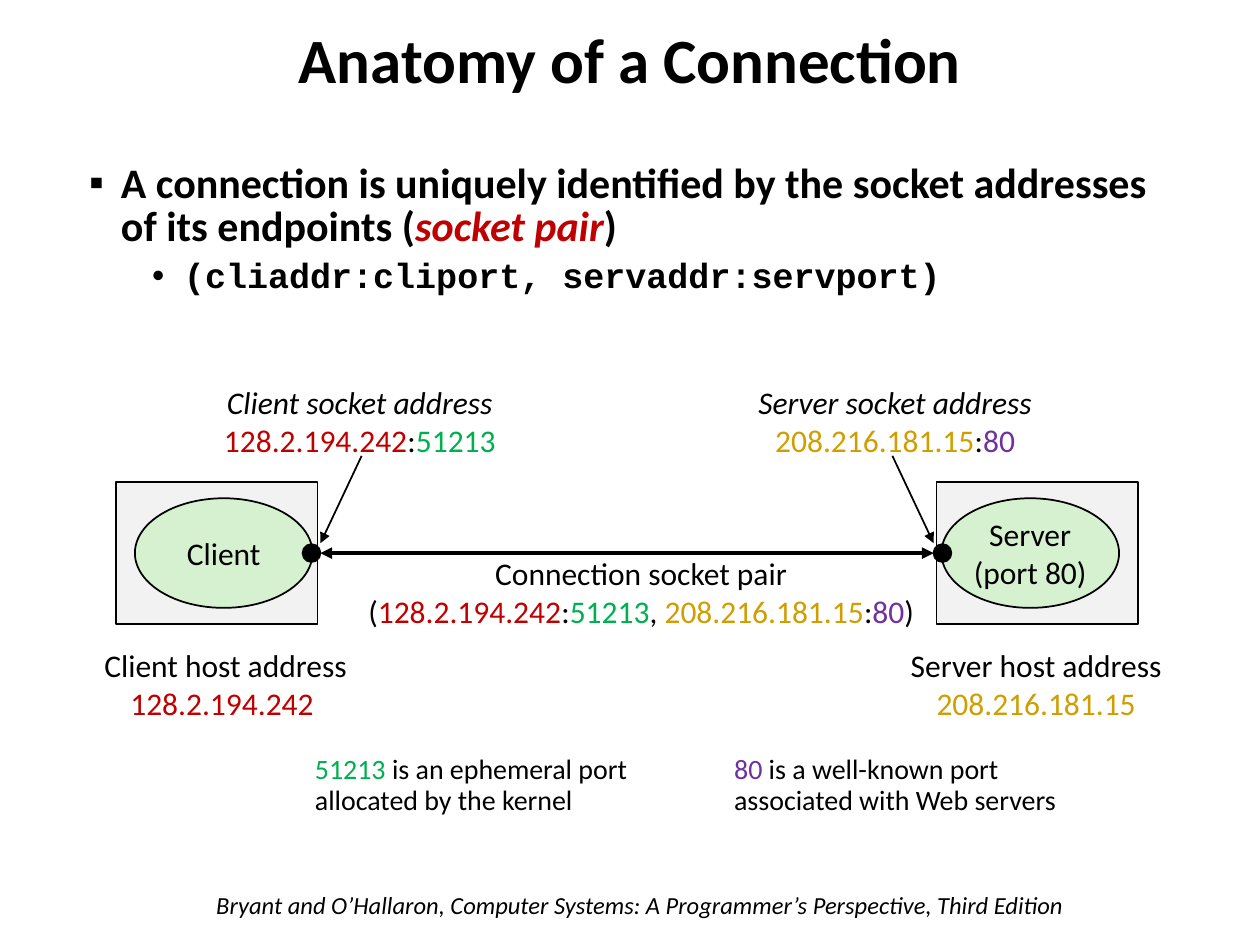
"""Build a slide on the anatomy of a socket connection."""
from lxml.etree import SubElement
from pptx import Presentation
from pptx.dml.color import RGBColor
from pptx.enum.shapes import MSO_CONNECTOR, MSO_SHAPE
from pptx.enum.text import MSO_ANCHOR, PP_ALIGN
from pptx.oxml.ns import qn
from pptx.util import Cm, Pt

BLACK = RGBColor(0x00, 0x00, 0x00)
RED = RGBColor(0xC0, 0x00, 0x00)
GREEN = RGBColor(0x00, 0xB0, 0x50)
GOLD = RGBColor(0xD0, 0x9E, 0x00)
PURPLE = RGBColor(0x70, 0x30, 0xA0)
GREY = RGBColor(0xF2, 0xF2, 0xF2)
MINT = RGBColor(0xD5, 0xF1, 0xCF)

TITLE = "Anatomy of a Connection"
SOURCE = "Bryant and O’Hallaron, Computer Systems: A Programmer’s Perspective, Third Edition"
CLAIM = ["A connection is uniquely identified by the socket addresses "
         "of its endpoints (", ("socket pair", RED), ")"]
PAIR = ["(cliaddr:cliport, servaddr:servport)"]
BULLETS = [("▪", 0.64, 0.85), ("•", 1.91, 0.9)]

CLIENT = [("128.2.194.242", RED), ":", ("51213", GREEN)]
SERVER = [("208.216.181.15", GOLD), ":", ("80", PURPLE)]
LABELS = [
    ((7.07, 11.03, 11.71), "Connection socket pair", ["(", *CLIENT, ", ", *SERVER, ")"], False),
    ((4.22, 7.59, 6.07), "Client socket address", CLIENT, True),
    ((14.45, 7.59, 7.19), "Server socket address", SERVER, True),
    ((1.78, 12.88, 5.54), "Client host address", [("128.2.194.242 ", RED)], False),
    ((18.03, 12.88, 5.72), "Server host address", SERVER[:1], False),
]
NOTES = [
    (6.1, [("51213 ", GREEN), "is an ephemeral port"], ["allocated by the kernel"]),
    (14.55, [("80 ", PURPLE), "is a well-known port"], ["associated with Web servers"]),
]
HOSTS = [["Client"], ["Server", "(port 80)"]]

SPAN = 25.28
MID = 11.15
FRAME = (2.34, 4.06, 2.87)
OVAL = (2.72, 3.58, 2.21)
DOT = (6.1, 0.36, 0.36)
PORT = DOT[0] + DOT[1]


def flip(left, width=0):
    """Mirror a client position to the server side."""
    return SPAN - left - width


def write(frame, paras, size=18, center=True, space=None):
    """Fill a frame with paragraphs of plain or coloured runs."""
    frame.word_wrap = not center
    frame.vertical_anchor = MSO_ANCHOR.MIDDLE if center else MSO_ANCHOR.TOP
    for num, parts in enumerate(paras):
        para = frame.add_paragraph() if num else frame.paragraphs[0]
        para.alignment = PP_ALIGN.CENTER if center else PP_ALIGN.LEFT
        para.line_spacing = space
        para.font.name, para.font.size = "Calibri", Pt(size)
        para.font.color.rgb = BLACK
        for part in parts:
            run = para.add_run()
            if isinstance(part, str):
                run.text = part
            else:
                run.text, run.font.color.rgb = part
    return frame.paragraphs


def add_box(slide, spot, paras, **style):
    """Add a text box and return its paragraphs."""
    box = slide.shapes.add_textbox(*map(Cm, spot))
    return write(box.text_frame, paras, **style)


def add_form(slide, kind, size, fill, server):
    """Add an outlined shape centred on the link, on either side."""
    left, width, height = size
    if server:
        left = flip(left, width)
    spot = (left, MID - height / 2, width, height)
    form = slide.shapes.add_shape(kind, *map(Cm, spot))
    form.shadow.inherit = False
    form.fill.solid()
    form.fill.fore_color.rgb = fill
    form.line.color.rgb = BLACK
    form.line.width = Pt(1)
    return form


def add_host(slide, names, server):
    """Add a host with its process and its socket."""
    add_form(slide, MSO_SHAPE.RECTANGLE, FRAME, GREY, server)
    oval = add_form(slide, MSO_SHAPE.OVAL, OVAL, MINT, server)
    write(oval.text_frame, [[name] for name in names])
    add_form(slide, MSO_SHAPE.OVAL, DOT, BLACK, server)


def add_arrow(slide, ends, width=1, tips=("tailEnd",)):
    """Add a black line with arrowheads at the named ends."""
    line = slide.shapes.add_connector(MSO_CONNECTOR.STRAIGHT, *map(Cm, ends))
    line.line.color.rgb = BLACK
    line.line.width = Pt(width)
    props = line._element.spPr
    for tip in tips:
        SubElement(props.find(qn("a:ln")), qn(f"a:{tip}"), type="triangle")
    SubElement(props, qn("a:effectLst"))


def add_points(slide):
    """Add the claim and the code line below it as bullets."""
    frame = slide.shapes.add_textbox(*map(Cm, (1.55, 3.18, 21.95, 3.2))).text_frame
    frame.add_paragraph()
    for para, (mark, left, _) in zip(frame.paragraphs, BULLETS):
        props = para._p.get_or_add_pPr()
        props.set("marL", str(Cm(left)))
        props.set("indent", str(Cm(-0.64)))
        SubElement(props, qn("a:buFont"), typeface="Arial")
        SubElement(props, qn("a:buChar"), char=mark)
    claim, code = frame.paragraphs
    frame.word_wrap = True
    for para, parts, (_, _, space) in zip((claim, code), (CLAIM, PAIR), BULLETS):
        para.line_spacing = space
        para.font.bold = True
        para.font.color.rgb = BLACK
        for part in parts:
            run = para.add_run()
            if isinstance(part, str):
                run.text = part
            else:
                run.text, run.font.color.rgb = part
                run.font.italic = True
    claim.font.name, claim.font.size = "Calibri", Pt(24)
    code.font.name, code.font.size = "Courier New", Pt(20)
    code.level, code.space_before = 1, Pt(5)


def main():
    """Draw the slide and save it."""
    deck = Presentation()
    deck.slide_width, deck.slide_height = Cm(25.4), Cm(19.05)
    slide = deck.slides.add_slide(deck.slide_layouts[6])
    title, = add_box(slide, (0, 0, 25.4, 2.54), [[TITLE]], size=36, space=0.9)
    title.font.bold = True
    source, = add_box(slide, (4.11, 17.81, 18.03, 0.86), [[SOURCE]], size=14, center=False)
    source.font.italic = True
    add_points(slide)
    for server, names in enumerate(HOSTS):
        add_host(slide, names, server)
    for spot, head, parts, slant in LABELS:
        first, _ = add_box(slide, (*spot, 1.8), [[head], parts])
        first.font.italic = slant
    for left, *paras in NOTES:
        add_box(slide, (left, 15.11, 7.2, 1.5), paras, size=16, center=False, space=0.9)
    add_arrow(slide, (PORT, MID, flip(PORT), MID), 2.25, ("headEnd", "tailEnd"))
    add_arrow(slide, (7.29, 9.19, PORT, 10.95))
    add_arrow(slide, (flip(7.29), 9.19, flip(PORT), 10.95))
    deck.save("out.pptx")


if __name__ == "__main__":
    main()
